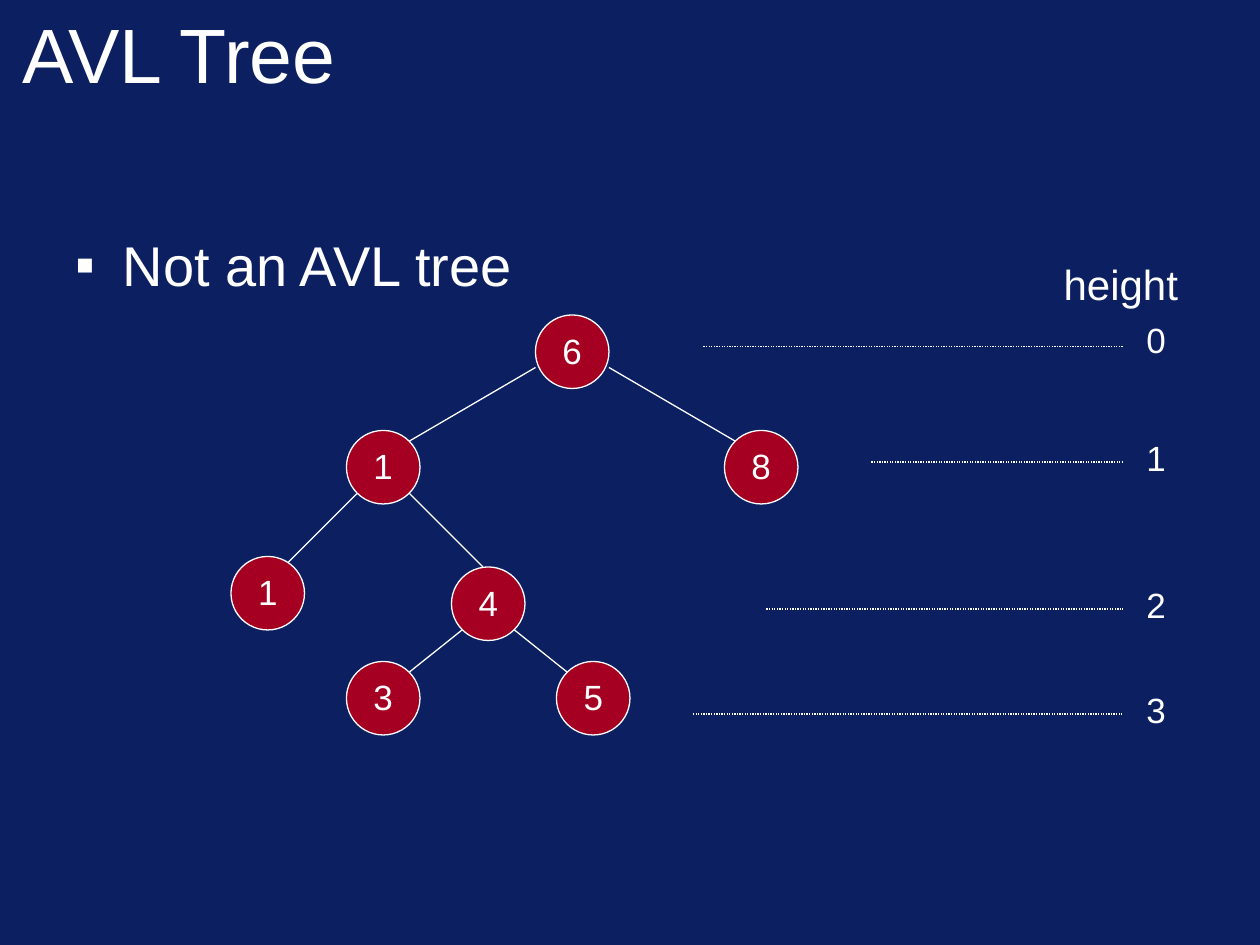
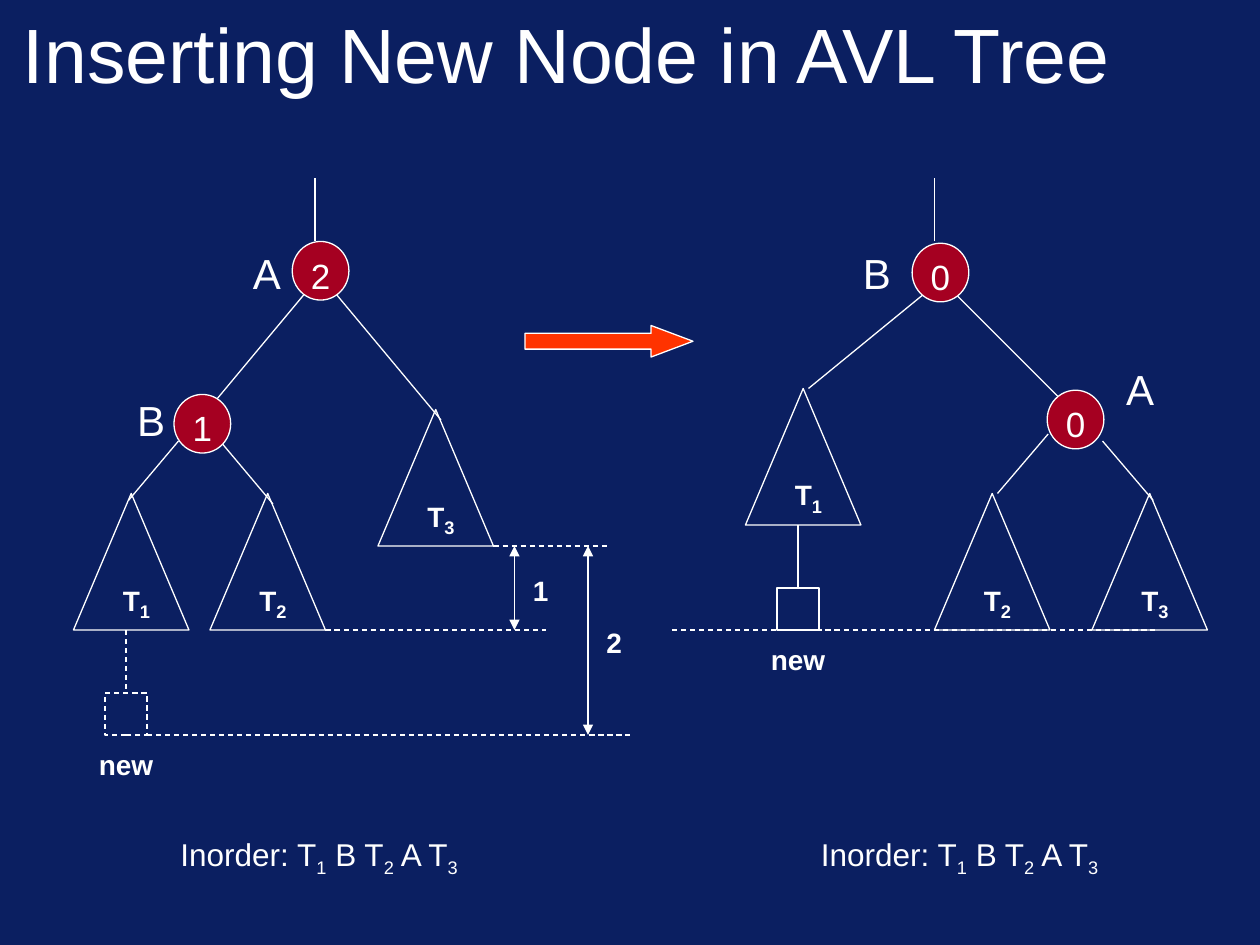
from dataclasses import dataclass
from itertools import groupby
from typing import Any, NamedTuple, Optional

from lxml import etree
from pptx import Presentation
from pptx import util as u
from pptx.dml.color import RGBColor
from pptx.enum import dml, shapes, text
from pptx.oxml import ns


# Theme and element descriptions
@dataclass(frozen=True)
class Theme:
    font: str = "Arial"
    background: RGBColor = RGBColor(0x0B, 0x1F, 0x61)
    ink: RGBColor = RGBColor(0xFF, 0xFF, 0xFF)
    node: RGBColor = RGBColor(0xA5, 0x00, 0x21)
    arrow: RGBColor = RGBColor(0xFF, 0x33, 0x00)
    title_size: float = 44
    body_size: float = 32
    name_size: float = 24
    key_size: float = 20
    subscript_size: float = 18
    label_size: float = 16
    line_width: float = 0.75


THEME = Theme()
SOLID = dml.MSO_LINE.SOLID
DASHED = dml.MSO_LINE.DASH
DOTTED = dml.MSO_LINE.ROUND_DOT
LEFT, CENTER = text.PP_ALIGN.LEFT, text.PP_ALIGN.CENTER


class Box(NamedTuple):
    left: float
    top: float
    width: float
    height: float


class Node(NamedTuple):
    key: str
    left: float
    top: float


class NodeStyle(NamedTuple):
    width: float
    height: float
    key_width: float
    key_drop: float


class Line(NamedTuple):
    x1: float
    y1: float
    x2: float
    y2: float


class Subtree(NamedTuple):
    name: str
    left: float
    top: float


class Label(NamedTuple):
    wording: str
    box: Box


# Drawing functions
def lengths(values: tuple) -> list:
    return [u.Pt(value) for value in values]


def style_font(font: Any, size: float, bold: bool = False) -> None:
    font.name = THEME.font
    font.size = u.Pt(size)
    font.bold = bold
    font.color.rgb = THEME.ink


def add_text(parent: Any, label: Label, size: float, align: Any = CENTER,
             bold: bool = False, wrap: bool = True) -> Any:
    frame = parent.shapes.add_textbox(*lengths(label.box)).text_frame
    frame.word_wrap = wrap
    frame.text = label.wording
    paragraph = frame.paragraphs[0]
    paragraph.alignment = align
    for run in paragraph.runs:
        style_font(run.font, size, bold)
    return frame


def add_indexed_text(parent: Any, label: Label, size: float, align: Any = CENTER,
                     bold: bool = False) -> Any:
    """Write a text whose digits are all subscripts."""
    frame = add_text(parent, Label("", label.box), size, align)
    paragraph = frame.paragraphs[0]
    for is_index, letters in groupby(label.wording, str.isdigit):
        run = paragraph.add_run()
        run.text = "".join(letters)
        style_font(run.font, THEME.subscript_size if is_index else size, bold)
        if is_index:
            run._r.get_or_add_rPr().set("baseline", "-25000")
    return frame


def add_outline(parent: Any, kind: Any, box: Box, fill: Optional[RGBColor] = None,
                dash: Any = SOLID) -> Any:
    shape = parent.shapes.add_shape(kind, *lengths(box))
    shape.shadow.inherit = False
    if fill is None:
        shape.fill.background()
    else:
        shape.fill.solid()
        shape.fill.fore_color.rgb = fill
    style_line(shape.line, dash)
    return shape


def style_line(line: Any, dash: Any) -> None:
    line.color.rgb = THEME.ink
    line.width = u.Pt(THEME.line_width)
    line.dash_style = dash


def add_line(slide: Any, line: Line, dash: Any = SOLID, arrows: bool = False) -> None:
    connector = slide.shapes.add_connector(
        shapes.MSO_CONNECTOR.STRAIGHT, *lengths(line))
    style_line(connector.line, dash)
    if arrows:
        for end in ("a:headEnd", "a:tailEnd"):
            etree.SubElement(connector.line._get_or_add_ln(), ns.qn(end), type="triangle")
    etree.SubElement(connector._element.spPr, ns.qn("a:effectLst"))


def add_node(slide: Any, node: Node, style: NodeStyle) -> None:
    group = slide.shapes.add_group_shape()
    add_outline(group, shapes.MSO_SHAPE.OVAL,
                Box(node.left, node.top, style.width, style.height), THEME.node)
    key_left = node.left + (style.width - style.key_width) / 2
    key_box = Box(key_left, node.top + style.key_drop, style.key_width, 31.5)
    add_text(group, Label(node.key, key_box), THEME.key_size)


def add_subtree(slide: Any, subtree: Subtree) -> None:
    group = slide.shapes.add_group_shape()
    name_box = Box(subtree.left + 12, subtree.top + 45.6, 48, 31.5)
    add_indexed_text(group, Label(subtree.name, name_box), THEME.label_size, bold=True)
    add_outline(group, shapes.MSO_SHAPE.ISOSCELES_TRIANGLE,
                Box(subtree.left, subtree.top, 66, 78))


def add_new_node(slide: Any, left: float, top: float, dash: Any) -> None:
    add_outline(slide, shapes.MSO_SHAPE.RECTANGLE, Box(left, top, 24, 24), dash=dash)
    add_line(slide, Line(left + 12, top - 36, left + 12, top), dash)
    add_text(slide, Label("new", Box(left - 12, top + 27.4, 48, 26.6)),
             THEME.label_size, bold=True)


def add_bullet(slide: Any, label: Label) -> None:
    frame = add_text(slide, label, THEME.body_size, LEFT)
    properties = frame.paragraphs[0]._p.get_or_add_pPr()
    properties.set("marL", str(u.Pt(27)))
    properties.set("indent", str(-u.Pt(27)))
    etree.SubElement(properties, ns.qn("a:buFont"), typeface=THEME.font)
    etree.SubElement(properties, ns.qn("a:buChar"), char="▪")


def add_titled_slide(deck: Any, title: str) -> Any:
    slide = deck.slides.add_slide(deck.slide_layouts[6])
    slide.background.fill.solid()
    slide.background.fill.fore_color.rgb = THEME.background
    frame = add_text(slide, Label(title, Box(6, -6, 648, 72)), THEME.title_size, LEFT)
    frame.vertical_anchor = text.MSO_ANCHOR.MIDDLE
    return slide


# Slide 1: a tree that breaks the balance rule
UNBALANCED_STYLE = NodeStyle(42, 42, 54, 4.7)
UNBALANCED_NODES = [
    Node("6", 306, 180), Node("8", 414, 246), Node("1", 198, 246),
    Node("4", 258, 324), Node("3", 198, 378), Node("1", 132, 318),
    Node("5", 318, 378),
]
UNBALANCED_EDGES = [
    Line(348, 210, 420, 252), Line(306, 210, 234, 252),
    Line(204, 282, 162, 324), Line(234, 282, 276, 324),
    Line(264, 360, 234, 384), Line(294, 360, 324, 384),
]
# Start and height of each level line, and top of its number
LEVELS = [(402, 198, 178.6), (498, 264, 246), (438, 348, 330), (396, 408, 390)]


def build_unbalanced_tree(deck: Any) -> None:
    slide = add_titled_slide(deck, "AVL Tree")
    add_bullet(slide, Label("Not an AVL tree", Box(36, 128, 648, 48)))
    for edge in UNBALANCED_EDGES:
        add_line(slide, edge)
    for node in UNBALANCED_NODES:
        add_node(slide, node, UNBALANCED_STYLE)

    add_text(slide, Label("height", Box(600.5, 144, 80, 36)), THEME.name_size, wrap=False)
    for level, (start, y, number_top) in enumerate(LEVELS):
        add_line(slide, Line(start, y, 642, y), DOTTED)
        add_text(slide, Label(str(level), Box(648, number_top, 25.2, 31.5)),
                 THEME.key_size, wrap=False)


# Slide 2: rotation after an insertion, before (left) and after (right)
ROTATION_STYLE = NodeStyle(32.4, 33.5, 41, 3.6)
ROTATION_NODES = [
    Node("2", 167, 138), Node("1", 99.4, 225.4),
    Node("0", 521.2, 139), Node("0", 598.4, 223),
]
ROTATION_EDGES = [
    Line(180, 138, 180, 102), Line(174, 168, 114, 240), Line(192, 168, 252, 240),
    Line(127.4, 254, 156, 288), Line(102, 252, 73.4, 286),
    Line(534, 138, 534, 102), Line(528, 168, 462, 222), Line(546, 168, 606, 228),
    Line(630, 252, 659, 286), Line(599, 248, 570, 282),
]
NODE_NAMES = [
    Label("A", Box(137.5, 138, 30, 36)), Label("B", Box(71.3, 222, 30, 36)),
    Label("B", Box(486, 138, 30, 36)), Label("A", Box(636.5, 204, 30, 36)),
]
SUBTREES = [
    Subtree("T1", 42, 282), Subtree("T2", 120, 282), Subtree("T3", 216, 234),
    Subtree("T1", 426, 222), Subtree("T2", 534, 282), Subtree("T3", 624, 282),
]
LEVEL_GUIDES = [
    Line(282, 312, 348, 312), Line(186, 360, 312, 360),
    Line(84, 420, 360, 420), Line(384, 360, 660, 360),
]
HEIGHT_GAPS = [Line(294, 312, 294, 360), Line(336, 312, 336, 420)]
GAP_LABELS = [Label("1", Box(294, 324, 30, 26.6)), Label("2", Box(336, 354, 30, 26.6))]


def build_rotation(deck: Any) -> None:
    slide = add_titled_slide(deck, "Inserting New Node in AVL Tree")
    # Trees
    for edge in ROTATION_EDGES:
        add_line(slide, edge)
    for node in ROTATION_NODES:
        add_node(slide, node, ROTATION_STYLE)
    for name in NODE_NAMES:
        add_text(slide, name, THEME.name_size, wrap=False)
    for subtree in SUBTREES:
        add_subtree(slide, subtree)
    add_new_node(slide, 60, 396, DASHED)
    add_new_node(slide, 444, 336, SOLID)

    # Height differences
    for guide in LEVEL_GUIDES:
        add_line(slide, guide, DASHED)
    for gap in HEIGHT_GAPS:
        add_line(slide, gap, arrows=True)
    for label in GAP_LABELS:
        add_text(slide, label, THEME.label_size, bold=True)

    # Rotation arrow and the unchanged order
    rotation = add_outline(slide, shapes.MSO_SHAPE.RIGHT_ARROW,
                           Box(300, 186, 96, 18), THEME.arrow)
    rotation.adjustments[1] = 1.33
    for left in (96, 462):
        order = Label("Inorder: T1 B T2 A T3", Box(left, 474, 192, 29.5))
        frame = add_indexed_text(slide, order, THEME.subscript_size, LEFT)
        frame.paragraphs[0].line_spacing = 0.9


def main() -> None:
    deck = Presentation()
    deck.slide_width, deck.slide_height = u.Pt(720), u.Pt(540)
    build_unbalanced_tree(deck)
    build_rotation(deck)
    deck.save("out.pptx")


if __name__ == "__main__":
    main()
